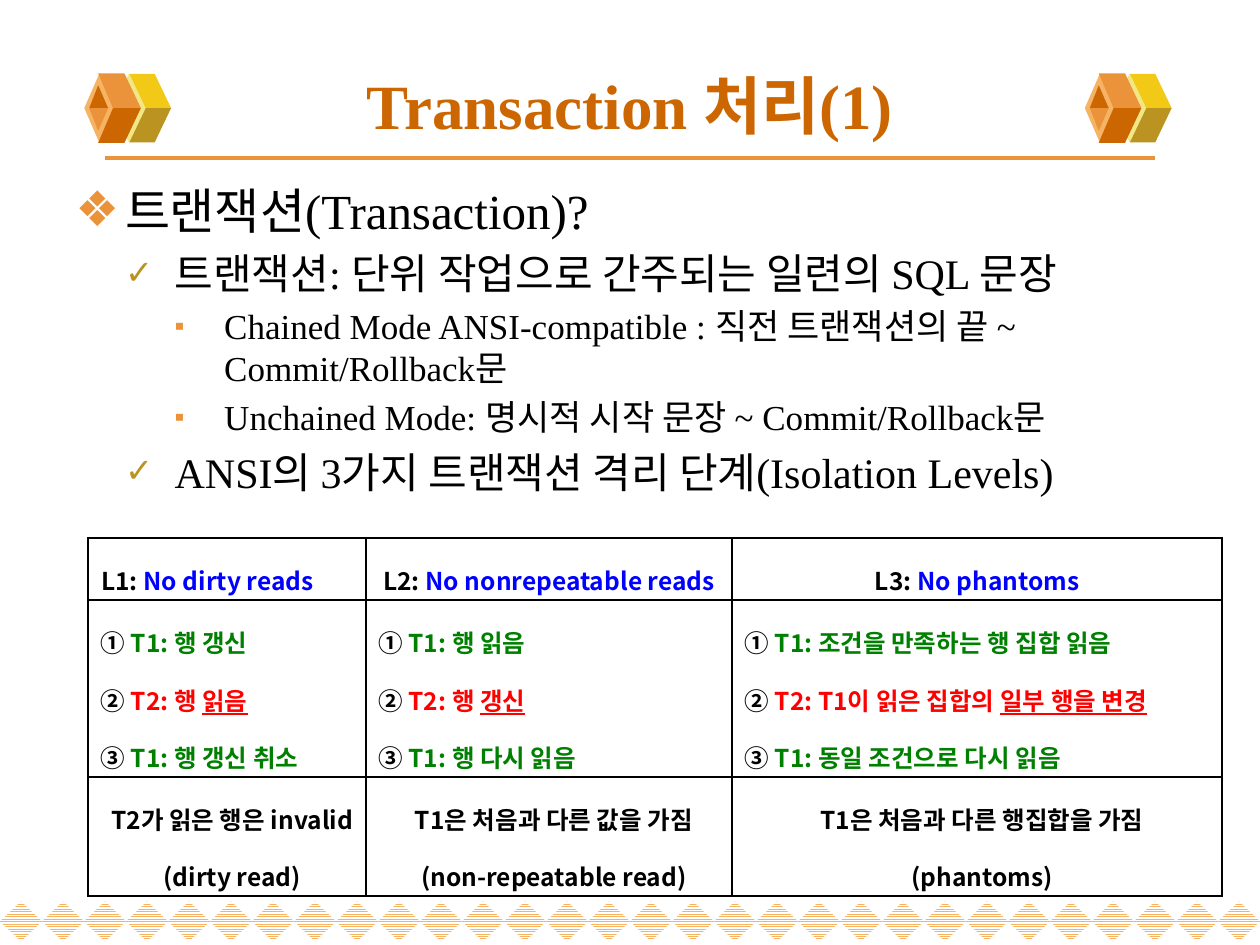
from dataclasses import dataclass

from lxml import etree
from pptx import Presentation
from pptx import util as u
from pptx.dml.color import RGBColor
from pptx.enum import dml, shapes, text
from pptx.oxml.ns import qn


@dataclass(frozen=True)
class Theme:
    serif: str = "Times New Roman"
    sans: str = "Noto Sans CJK KR"
    black: str = "000000"
    blue: str = "0000FF"
    green: str = "008000"
    red: str = "FF0000"
    rust: str = "CC6600"
    orange: str = "EB933B"
    peach: str = "F5B363"
    cream: str = "F1E785"
    yellow: str = "F3C917"
    olive: str = "BB9321"
    white: str = "FFFFFF"
    title_size: int = 36
    body_sizes: tuple = (28, 24, 20)
    table_size: int = 14
    tab_size: int = 9
    rule_width: float = 2.25
    border_width: float = 1.41


THEME = Theme()


def rgb(value):
    return RGBColor.from_string(value)


def child(parent, tag, **attributes):
    return etree.SubElement(parent, qn(tag), attributes)


def add_run(paragraph, words, *, size, color=THEME.black, font=THEME.serif,
            bold=False, underline=False):
    run = paragraph.add_run()
    run.text = words
    style = run.font
    style.size, style.bold, style.underline = u.Pt(size), bold, underline
    style.color.rgb = rgb(color)
    style.name = font
    child(run._r.get_or_add_rPr(), "a:ea", typeface=THEME.sans)


class SlideBuilder:
    def __init__(self, slide, theme):
        self.slide, self.theme = slide, theme

    def place(self, placeholder, left, top, width, height):
        placeholder.left, placeholder.top = u.Cm(left), u.Cm(top)
        placeholder.width, placeholder.height = u.Cm(width), u.Cm(height)
        frame = placeholder.text_frame
        frame.auto_size = text.MSO_AUTO_SIZE.NONE
        return frame

    def title(self, words):
        frame = self.place(self.slide.shapes.title, 1.27, 1.14, 22.86, 1.93)
        frame.vertical_anchor = text.MSO_ANCHOR.MIDDLE
        heading = frame.paragraphs[0]
        heading.alignment = text.PP_ALIGN.CENTER
        add_run(heading, words, size=self.theme.title_size,
                color=self.theme.rust, bold=True)

    def outline(self, items):
        t = self.theme
        bullets = (("❖", t.orange, 100), ("✓", t.olive, 80), ("▪", t.orange, 80))
        frame = self.place(self.slide.placeholders[1], 1.27, 3.43, 22.86, 7.42)
        frame.margin_left = frame.margin_right = u.Cm(0.25)
        frame.margin_top = frame.margin_bottom = u.Cm(0.2)
        for index, (level, words) in enumerate(items):
            point = frame.add_paragraph() if index else frame.paragraphs[0]
            point.level = level
            if not index:
                point.space_before = u.Pt(0)
            mark, color, percent = bullets[level]
            props = point._p.get_or_add_pPr()
            props.set("marL", str(u.Cm(level + 1)))
            props.set("indent", str(-u.Cm(1)))
            child(child(props, "a:buClr"), "a:srgbClr", val=color)
            child(props, "a:buSzPct", val=str(percent * 1000))
            child(props, "a:buChar", char=mark)
            add_run(point, words, size=t.body_sizes[level])

    def diamond(self, left, top, width, height, color, hatched=False):
        shape = self.slide.shapes.add_shape(
            shapes.MSO_SHAPE.DIAMOND, u.Cm(left), u.Cm(top), u.Cm(width), u.Cm(height))
        self.finish(shape, color, hatched)

    def polygon(self, points, color):
        start, *rest = [(u.Cm(x), u.Cm(y)) for x, y in points]
        builder = self.slide.shapes.build_freeform(*start)
        builder.add_line_segments(rest, close=True)
        self.finish(builder.convert_to_shape(), color)

    def finish(self, shape, color, hatched=False):
        shape.shadow.inherit = False
        shape.line.fill.background()
        if hatched:
            shape.fill.patterned()
            shape.fill.pattern = dml.MSO_PATTERN.NARROW_HORIZONTAL
            shape.fill.fore_color.rgb = rgb(color)
            shape.fill.back_color.rgb = rgb(self.theme.white)
        else:
            shape.fill.solid()
            shape.fill.fore_color.rgb = rgb(color)

    def rule(self, left, right, y):
        line = self.slide.shapes.add_connector(
            shapes.MSO_CONNECTOR.STRAIGHT, u.Cm(left), u.Cm(y), u.Cm(right), u.Cm(y))
        line.line.color.rgb = rgb(self.theme.orange)
        line.line.width = u.Pt(self.theme.rule_width)
        child(line._element.spPr, "a:effectLst")

    def cube(self, left, middle):
        """Each face is given for the upper half and mirrored for the lower."""
        t = self.theme

        def faces(points, upper, lower):
            for sign, color in ((-1, upper), (1, lower)):
                self.polygon([(left + x, middle + sign * y) for x, y in points], color)

        self.diamond(left + 0.49, middle - 0.7, 0.84, 1.4, t.cream)
        faces([(1.24, 0), (1.75, 0), (1.42, 0.69), (0.91, 0.69)], t.yellow, t.olive)
        self.diamond(left, middle - 0.7, 0.61, 1.4, t.peach)
        faces([(0.58, 0), (1.14, 0), (0.81, 0.7), (0.28, 0.7)], t.orange, t.rust)
        faces([(0.28, 0.46), (0.1, 0), (0.48, 0)], t.rust, t.orange)

    def table(self, left, top, widths, heights, rows):
        grid = self.slide.shapes.add_table(
            len(rows), len(widths), u.Cm(left), u.Cm(top),
            u.Cm(sum(widths)), u.Cm(sum(heights))).table
        grid.first_row = grid.horz_banding = False
        for column, width in zip(grid.columns, widths):
            column.width = u.Cm(width)
        for r, (height, row) in enumerate(zip(heights, rows)):
            grid.rows[r].height = u.Cm(height)
            align = text.PP_ALIGN.JUSTIFY if r == 1 else text.PP_ALIGN.CENTER
            for c, lines in enumerate(row):
                self.cell(grid.cell(r, c), lines, align, 0.2 if r else 0)

    def cell(self, cell, lines, align, indent):
        cell.margin_left = cell.margin_right = u.Cm(0.05)
        cell.margin_top = cell.margin_bottom = u.Cm(0.05)
        cell.vertical_anchor = text.MSO_ANCHOR.MIDDLE
        props = cell._tc.get_or_add_tcPr()
        for side in ("a:lnL", "a:lnR", "a:lnT", "a:lnB"):
            border = child(props, side, w=str(u.Pt(self.theme.border_width)))
            child(child(border, "a:solidFill"), "a:srgbClr", val=self.theme.black)
        cell.fill.background()
        for index, runs in enumerate(lines):
            line = cell.text_frame.add_paragraph() if index else cell.text_frame.paragraphs[0]
            line.alignment, line.line_spacing = align, 1.6
            line._p.get_or_add_pPr().set("indent", str(u.Cm(indent)))
            for words, style in runs:
                add_run(line, words, **{"size": self.theme.table_size, "bold": True,
                                        "font": self.theme.sans, **style})


def level_heading(label, name):
    return [(label, {}), (name, {"color": THEME.blue})]


def scenario(first, second, changed, third):
    """Three steps; the conflicting one is red with its action underlined."""
    green, red = {"color": THEME.green}, {"color": THEME.red}
    return [[("① ", {}), (first, green)],
            [("② ", {}), (second, red), (changed, {**red, "underline": True})],
            [("③ ", {}), (third, green)]]


def outcome(*lines):
    return [[(line, {})] for line in lines]


def main():
    deck = Presentation()
    deck.slide_width, deck.slide_height = u.Cm(25.4), u.Cm(19.05)
    page = SlideBuilder(deck.slides.add_slide(deck.slide_layouts[1]), THEME)

    # Footer band of hatched diamonds
    count = 30
    step = 25.4 / count
    for i in range(count):
        page.diamond(i * step, 18.17, step, 0.81, THEME.peach, hatched=True)

    # Heading with its rule and cubes
    page.rule(2.12, 23.28, 3.18)
    for cube_left in (1.7, 21.87):
        page.cube(cube_left, 2.18)
    page.title("Transaction 처리(1)")

    # Outline
    page.outline([
        (0, "트랜잭션(Transaction)?"),
        (1, "트랜잭션: 단위 작업으로 간주되는 일련의 SQL 문장"),
        (2, "Chained Mode ANSI-compatible : 직전 트랜잭션의 끝 ~ Commit/Rollback문"),
        (2, "Unchained Mode: 명시적 시작 문장 ~ Commit/Rollback문"),
        (1, "ANSI의 3가지 트랜잭션 격리 단계(Isolation Levels)"),
    ])

    # Isolation levels
    dirty_tab = ("\t", {"size": THEME.tab_size, "bold": False})
    page.table(1.78, 10.85, (5.6, 7.38, 9.88), (1.07, 3.02, 2.03), [
        [[level_heading("L1: ", "No dirty reads") + [dirty_tab]],
         [level_heading("L2: ", "No nonrepeatable reads")],
         [level_heading("L3: ", "No phantoms")]],
        [scenario("T1: 행 갱신", "T2: 행 ", "읽음", "T1: 행 갱신 취소"),
         scenario("T1: 행 읽음", "T2: 행 ", "갱신", "T1: 행 다시 읽음"),
         scenario("T1: 조건을 만족하는 행 집합 읽음", "T2: T1이 읽은 집합의 ",
                  "일부 행을 변경", "T1: 동일 조건으로 다시 읽음")],
        [outcome("T2가 읽은 행은 invalid", "(dirty read)"),
         outcome("T1은 처음과 다른 값을 가짐", "(non-repeatable read)"),
         outcome("T1은 처음과 다른 행집합을 가짐", "(phantoms)")],
    ])
    deck.save("out.pptx")


if __name__ == "__main__":
    main()
